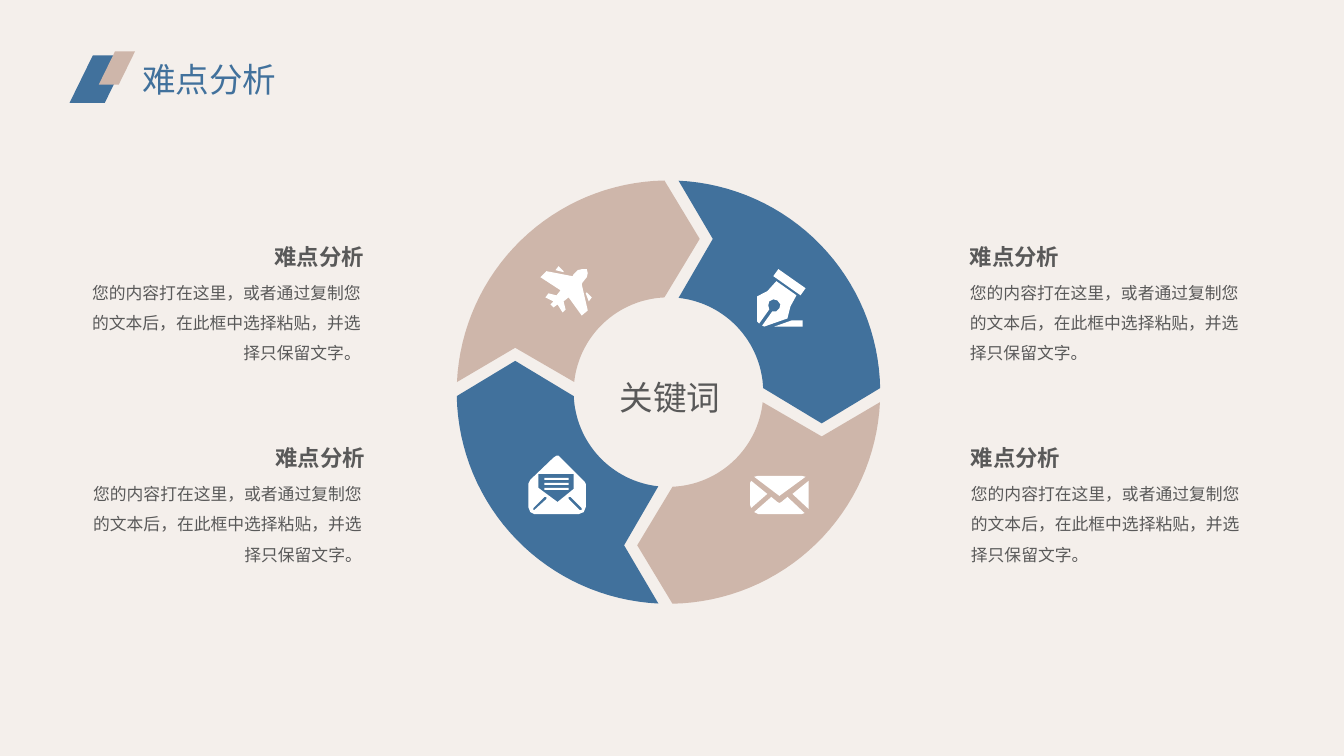
"""Build a key-difficulty slide: a four-arrow ring with icons and four callouts."""
import math
from dataclasses import dataclass

import pptx
import pptx.dml.color
import pptx.enum.shapes
import pptx.enum.text
import pptx.oxml.ns
import pptx.util
from lxml import etree

PX = 9144
BLUE = pptx.dml.color.RGBColor(0x41, 0x71, 0x9C)
SAND = pptx.dml.color.RGBColor(0xCE, 0xB6, 0xAA)
GREY = pptx.dml.color.RGBColor(0x59, 0x59, 0x59)
WHITE = pptx.dml.color.RGBColor(0xFF, 0xFF, 0xFF)
CREAM = pptx.dml.color.RGBColor(0xF4, 0xEF, 0xEB)
FONT = "Noto Sans CJK SC"
HEADING = "难点分析"
BODY = "您的内容打在这里，或者通过复制您的文本后，在此框中选择粘贴，并选择只保留文字。"
LEFT = pptx.enum.text.PP_ALIGN.LEFT
CENTER = pptx.enum.text.PP_ALIGN.CENTER
RIGHT = pptx.enum.text.PP_ALIGN.RIGHT
RING_X, RING_Y = 663, 389
OUTER, INNER = 210, 94

Point = tuple[float, float]
Contour = list[Point]


@dataclass
class Callout:
    heading_left: int
    body_left: int
    top: int
    align: pptx.enum.text.PP_ALIGN


@dataclass
class Slant:
    left: int
    top: int
    width: int
    height: int
    color: pptx.dml.color.RGBColor


@dataclass
class Label:
    text: str
    size: int
    color: pptx.dml.color.RGBColor = GREY
    bold: bool = False
    align: pptx.enum.text.PP_ALIGN = LEFT
    spacing: float = 1.0


CALLOUTS = [
    Callout(962, 962, 241, LEFT),
    Callout(963, 963, 441, LEFT),
    Callout(252, 91, 241, RIGHT),
    Callout(253, 92, 441, RIGHT),
]
SLANTS = [Slant(69, 55, 58, 47, BLUE), Slant(98, 51, 36, 33, SAND)]


def bar(left: int, top: int, right: int, bottom: int) -> Contour:
    return [(left, top), (right, top), (right, bottom), (left, bottom)]


ENVELOPE: list[Contour] = [
    [(752, 472), (795, 472), (799, 473), (773, 492), (748, 473)],
    [(802, 477), (786, 490), (802, 505)],
    [(798, 509), (795, 510), (752, 510), (748, 508), (765, 493), (771, 498),
     (773, 499), (775, 498), (781, 493)],
    [(745, 504), (761, 490), (745, 477), (744, 479), (744, 501)],
]
OPEN_LETTER: list[Contour] = [
    [(578, 476), (580, 478), (581, 480), (581, 503), (579, 508), (574, 510),
     (530, 510), (526, 508), (524, 503), (524, 480), (526, 476), (549, 454),
     (552, 452), (554, 452), (556, 454)],
    [(534, 470), (534, 484), (553, 498), (569, 485), (569, 470)],
    *[bar(540, top, 564, top + 2) for top in (474, 479, 484)],
    [(530, 506), (542, 495), (542, 493), (540, 493), (529, 504), (529, 506)],
    [(577, 504), (566, 493), (564, 493), (564, 495), (575, 506), (577, 506)],
]
PLANE: list[Contour] = [
    [(582, 267), (583, 271), (582, 275), (578, 280), (577, 282), (583, 308),
     (577, 313), (564, 295), (559, 299), (561, 307), (558, 310), (553, 302),
     (549, 305), (546, 302), (549, 299), (541, 295), (544, 291), (552, 293),
     (556, 288), (536, 275), (542, 269), (568, 274), (569, 272), (573, 268),
     (577, 267)],
    [(587, 295), (582, 290), (581, 291), (584, 299)],
    [(554, 264), (551, 268), (559, 270), (559, 269)],
]
PEN: list[Contour] = [
    [(753, 321), (751, 319), (751, 294), (761, 289), (770, 279), (790, 293),
     (784, 304), (781, 316), (758, 324), (756, 323), (766, 309), (770, 309),
     (773, 306), (774, 302), (771, 298), (767, 297), (763, 299), (762, 303),
     (763, 307)],
    [(768, 324), (796, 324), (796, 318), (785, 318)],
    [(794, 293), (799, 286), (772, 267), (767, 274)],
]


def arc(radius: int, start: Point, end: Point, steps: int = 32) -> Contour:
    first = math.atan2(start[1], start[0])
    sweep = math.atan2(end[1], end[0]) - first
    angles = [first + sweep * i / steps for i in range(steps + 1)]
    return [(radius * math.cos(a), radius * math.sin(a)) for a in angles]


def ring_segment(quarter_turns: int) -> Contour:
    points = [
        *arc(OUTER, (10, -210), (210, -4)),
        (152, 31),
        *arc(INNER, (93, -4), (10, -93)),
        (44, -152),
    ]
    for _ in range(quarter_turns):
        points = [(-y, x) for x, y in points]
    return [(RING_X + x, RING_Y + y) for x, y in points]


def paint(sp, color: pptx.dml.color.RGBColor) -> None:
    sp.fill.solid()
    sp.fill.fore_color.rgb = color
    sp.line.fill.background()
    sp.shadow.inherit = False


def draw_outline(shapes, contours: list[Contour], color: pptx.dml.color.RGBColor) -> None:
    scaled = [[(round(x * PX), round(y * PX)) for x, y in c] for c in contours]
    builder = shapes.build_freeform(*scaled[0][0], scale=1.0)
    for i, contour in enumerate(scaled):
        if i:
            builder.move_to(*contour[0])
        builder.add_line_segments(contour[1:], close=True)
    paint(builder.convert_to_shape(), color)


def write(tf, label: Label) -> None:
    p = tf.paragraphs[0]
    p.alignment = label.align
    p.line_spacing = label.spacing
    r = p.add_run()
    r.text = label.text
    r.font.name = FONT
    r.font.size = pptx.util.Pt(label.size)
    r.font.bold = label.bold
    r.font.color.rgb = label.color
    ea = etree.SubElement(r._r.get_or_add_rPr(), pptx.oxml.ns.qn("a:ea"))
    ea.set("typeface", FONT)


def add_label(shapes, left: int, top: int, width: int, height: int, label: Label) -> None:
    sp = shapes.add_textbox(left * PX, top * PX, width * PX, height * PX)
    tf = sp.text_frame
    tf.margin_left = tf.margin_right = tf.margin_top = tf.margin_bottom = 0
    tf.word_wrap = True
    tf.auto_size = pptx.enum.text.MSO_AUTO_SIZE.SHAPE_TO_FIT_TEXT
    write(tf, label)


def place_title(title) -> None:
    title.left, title.top, title.width, title.height = (v * PX for v in (131, 53, 155, 50))
    tf = title.text_frame
    tf.word_wrap = False
    tf.auto_size = pptx.enum.text.MSO_AUTO_SIZE.SHAPE_TO_FIT_TEXT
    tf.vertical_anchor = pptx.enum.text.MSO_ANCHOR.TOP
    write(tf, Label(HEADING, 24, BLUE))


def main() -> None:
    prs = pptx.Presentation()
    prs.slide_width, prs.slide_height = 1333 * PX, 750 * PX
    s = prs.slides.add_slide(prs.slide_layouts[5])
    s.background.fill.solid()
    s.background.fill.fore_color.rgb = CREAM

    for turns in range(4):
        draw_outline(s.shapes, [ring_segment(turns)], SAND if turns % 2 else BLUE)
    add_label(s.shapes, 610, 374, 109, 40, Label("关键词", 24, align=CENTER))
    for icon in (ENVELOPE, OPEN_LETTER, PLANE, PEN):
        draw_outline(s.shapes, icon, WHITE)

    for c in CALLOUTS:
        add_label(s.shapes, c.heading_left, c.top, 109, 27,
                  Label(HEADING, 16, bold=True, align=c.align))
        add_label(s.shapes, c.body_left, c.top + 29, 267, 89,
                  Label(BODY, 12, align=c.align, spacing=1.5))

    for slant in SLANTS:
        sp = s.shapes.add_shape(
            pptx.enum.shapes.MSO_SHAPE.PARALLELOGRAM,
            slant.left * PX, slant.top * PX, slant.width * PX, slant.height * PX)
        sp.adjustments[0] = 0.49
        paint(sp, slant.color)
    place_title(s.shapes.title)
    prs.save("out.pptx")


if __name__ == "__main__":
    main()
